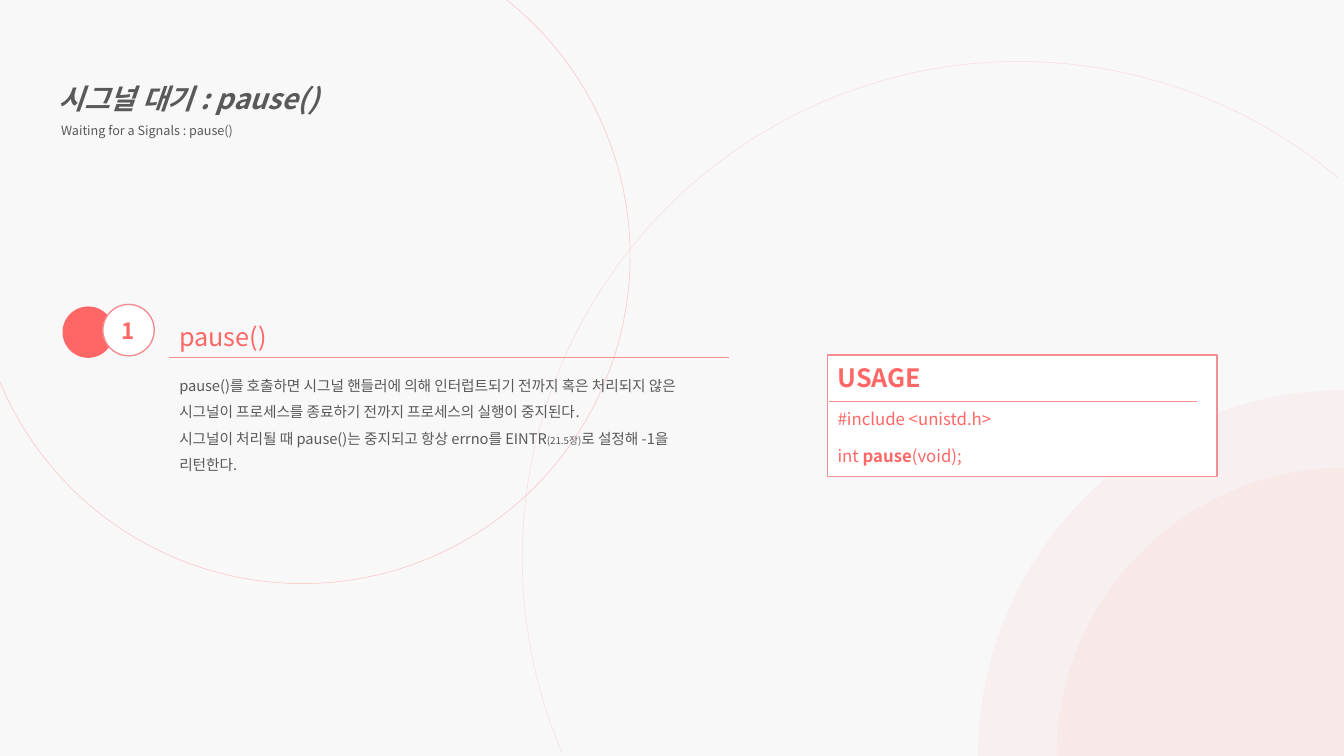
from dataclasses import dataclass

from lxml import etree
from pptx import Presentation
from pptx import util as u
from pptx.dml.color import RGBColor
from pptx.enum import shapes, text
from pptx.oxml import ns


@dataclass(frozen=True)
class Theme:
    font: str = "Noto Sans CJK KR"
    paper: str = "F8F8F8"
    white: str = "FFFFFF"
    coral: str = "FF6766"
    rose: str = "F48E93"
    blush: str = "FAC6C8"
    ink: str = "595959"
    title: float = 20
    heading: float = 18
    badge: float = 16
    code: float = 12
    body: float = 10.5
    subtitle: float = 9
    note: float = 7


class SlideBuilder:
    def __init__(self, slide, theme):
        self.slide = slide
        self.theme = theme
        self.paint(slide.background.fill, theme.paper)

    def paint(self, fill, color, alpha=None):
        """Solid colour, with an optional opacity in percent."""
        fill.solid()
        fill.fore_color.rgb = RGBColor.from_string(color)
        if alpha is not None:
            tint = fill._xPr.find(".//" + ns.qn("a:srgbClr"))
            etree.SubElement(tint, ns.qn("a:alpha"), val=str(alpha * 1000))

    def shape(self, kind, box, fill=None, line=None, width=1, alpha=None, angles=()):
        item = self.slide.shapes.add_shape(kind, *map(u.Inches, box))
        item.shadow.inherit = False
        for index, angle in enumerate(angles):
            item.adjustments[index] = angle * 0.6  # degrees to arc units
        if fill:
            self.paint(item.fill, fill, alpha)
        else:
            item.fill.background()
        if line:
            self.paint(item.line.fill, line, None if fill else alpha)
            item.line.width = u.Pt(width)
        else:
            item.line.fill.background()
        return item

    def rule(self, left, right, y):
        item = self.slide.shapes.add_connector(
            shapes.MSO_CONNECTOR.STRAIGHT, *map(u.Inches, (left, y, right, y)))
        self.paint(item.line.fill, self.theme.rose)
        item.line.width = u.Pt(0.5)
        etree.SubElement(item._element.spPr, ns.qn("a:effectLst"))

    def add_runs(self, paragraph, runs, color, size, **formats):
        """Add runs given as (words, format changes)."""
        for words, changes in runs:
            run = paragraph.add_run()
            run.text = words
            run.font.color.rgb = RGBColor.from_string(color)
            values = {"name": self.theme.font, "size": size, **formats, **changes}
            values["size"] = u.Pt(values["size"])
            for name, value in values.items():
                setattr(run.font, name, value)
            etree.SubElement(run.font._element, ns.qn("a:ea"), typeface=self.theme.font)

    def textbox(self, box, paragraphs, color, size, spacing=None, gap=0, **formats):
        frame = self.slide.shapes.add_textbox(*map(u.Inches, box)).text_frame
        frame.word_wrap = True
        frame.auto_size = text.MSO_AUTO_SIZE.SHAPE_TO_FIT_TEXT
        for index, runs in enumerate(paragraphs):
            paragraph = frame.paragraphs[0] if index == 0 else frame.add_paragraph()
            if spacing:
                paragraph.line_spacing = spacing
            if index and gap:
                paragraph.space_before = u.Pt(gap)
            self.add_runs(paragraph, runs, color, size, **formats)
        return frame

    def badge(self, box, number):
        item = self.shape(shapes.MSO_SHAPE.OVAL, box, self.theme.white, self.theme.rose)
        item.text_frame.vertical_anchor = text.MSO_ANCHOR.MIDDLE
        label = item.text_frame.paragraphs[0]
        label.alignment = text.PP_ALIGN.CENTER
        self.add_runs(label, [(number, {})], self.theme.coral, self.theme.badge, bold=True)


def main():
    deck = Presentation()
    deck.slide_width, deck.slide_height = u.Inches(13.33), u.Inches(7.5)
    theme = Theme()
    page = SlideBuilder(deck.slides.add_slide(deck.slide_layouts[6]), theme)
    arc, oval = shapes.MSO_SHAPE.ARC, shapes.MSO_SHAPE.OVAL

    # Background rings and corner discs
    for left, top, size, angles, alpha in (
            (5.18, 0.61, 9.85, (157.05, 309.98), 42),
            (-0.25, -0.71, 6.5, (307.99, 157.93), 82)):
        page.shape(arc, (left, top, size, size), line=theme.blush,
                   width=0.5, alpha=alpha, angles=angles)
    for left, top, size in ((10.48, 4.64, 5.72), (9.7, 3.87, 7.26)):
        page.shape(arc, (left, top, size, size), theme.coral,
                   alpha=5, angles=(179.4, 270.17))

    # Title and subtitle
    title = page.textbox(
        (0.48, 0.59, 8.83, 0.83),
        [[("시그널 대기 : pause()", {"bold": True, "italic": True})],
         [("Waiting for a Signals : pause()", {"size": theme.subtitle})]],
        theme.ink, theme.title, spacing=1.5)
    title.paragraphs[1]._p.get_or_add_pPr().set("marL", str(u.Pt(2)))

    # Description of the function
    page.shape(oval, (0.62, 3.04, 0.51, 0.51), theme.coral)
    page.textbox((1.68, 3.14, 5.55, 0.4), [[("pause()", {})]], theme.coral, theme.heading)
    page.textbox(
        (1.68, 3.6, 5.53, 1.43),
        [[("pause()를 호출하면 시그널 핸들러에 의해 인터럽트되기 전까지 혹은 처리되지 않은 "
           "시그널이 프로세스를 종료하기 전까지 프로세스의 실행이 중지된다.", {})],
         [("시그널이 처리될 때 pause()는 중지되고 항상 errno를 EINTR", {}),
          ("(21.5장)", {"size": theme.note}),
          ("로 설정해 -1을 리턴한다.", {})]],
        theme.ink, theme.body, spacing=1.5)
    page.rule(1.68, 7.23, 3.55)

    # Usage panel
    page.shape(shapes.MSO_SHAPE.RECTANGLE, (8.21, 3.52, 3.86, 1.21), theme.white, theme.rose)
    page.rule(8.22, 11.87, 3.98)
    page.textbox((8.21, 3.55, 2.44, 0.4), [[("USAGE", {})]],
                 theme.coral, theme.heading, bold=True)
    page.textbox(
        (8.21, 4.01, 3.87, 0.71),
        [[("#include <unistd.h>", {})],
         [("int ", {}), ("pause", {"bold": True}), ("(void);", {})]],
        theme.coral, theme.code, gap=12)

    # Number badge over the coral disc
    page.badge((1.02, 3.02, 0.51, 0.51), "1")

    deck.save("out.pptx")


if __name__ == "__main__":
    main()
